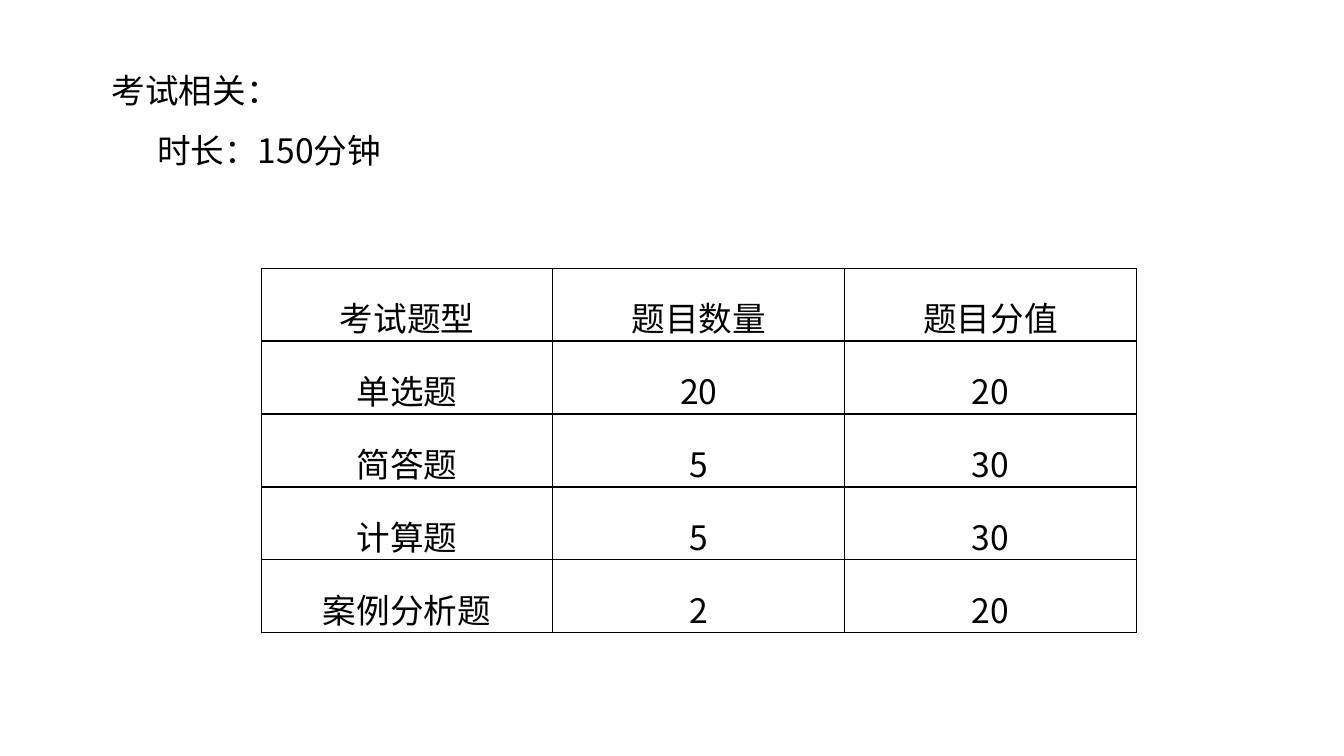
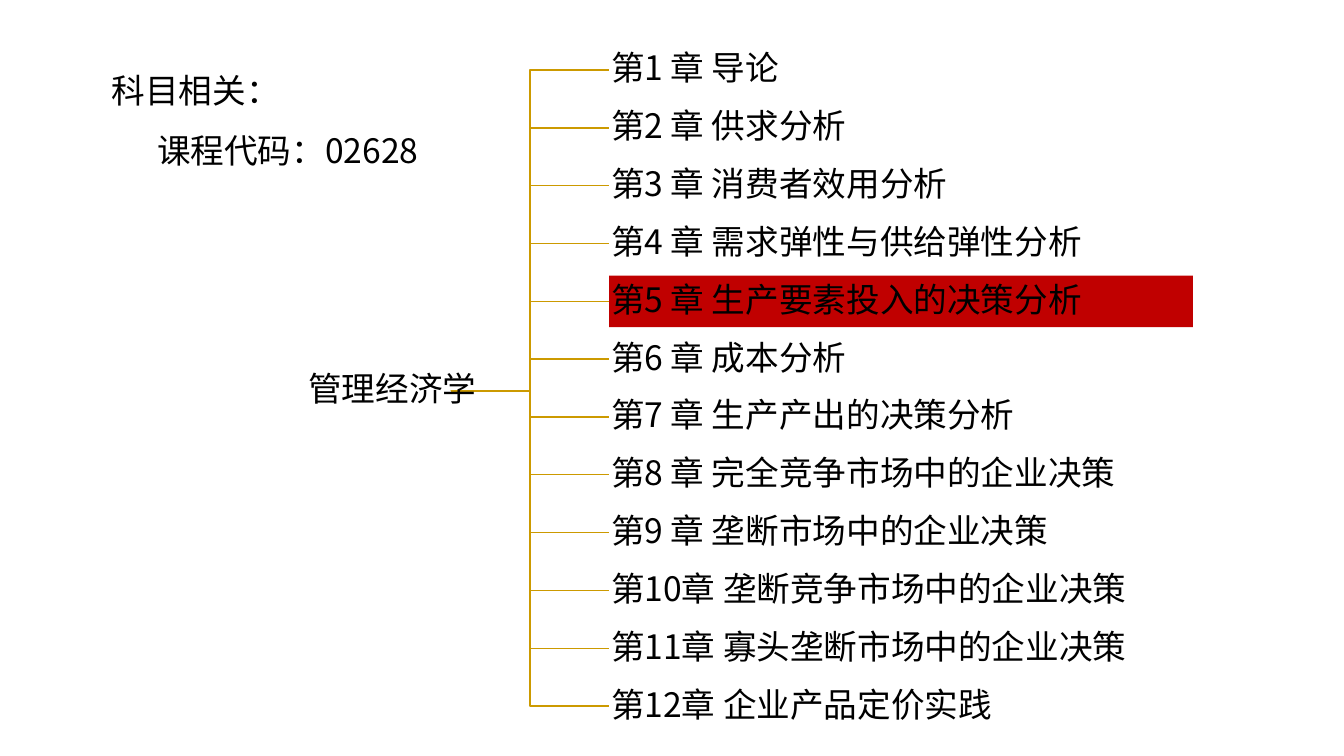
from lxml import etree
from pptx import Presentation
from pptx.dml.color import RGBColor
from pptx.enum.shapes import MSO_SHAPE
from pptx.enum.text import MSO_ANCHOR, MSO_AUTO_SIZE, PP_ALIGN
from pptx.oxml.ns import qn
from pptx.util import Inches, Pt

RECT = MSO_SHAPE.RECTANGLE
MIDDLE = MSO_ANCHOR.MIDDLE
GROW = MSO_AUTO_SIZE.SHAPE_TO_FIT_TEXT
LEFT, CENTER = PP_ALIGN.LEFT, PP_ALIGN.CENTER

BLACK = RGBColor(0x00, 0x00, 0x00)
WHITE = RGBColor(0xFF, 0xFF, 0xFF)
RED = RGBColor(0xC0, 0x00, 0x00)
GOLD = RGBColor(0xCC, 0x9A, 0x00)
FONT = "Noto Sans CJK SC"
SIZE = Pt(24)
INSET = Inches(0.02)

EXAM = [
    ("考试题型", "题目数量", "题目分值"),
    ("单选题", "20", "20"),
    ("简答题", "5", "30"),
    ("计算题", "5", "30"),
    ("案例分析题", "2", "20"),
]
TOPICS = [
    "第1 章 导论",
    "第2 章 供求分析",
    "第3 章 消费者效用分析",
    "第4 章 需求弹性与供给弹性分析",
    "第5 章 生产要素投入的决策分析",
    "第6 章 成本分析",
    "第7 章 生产产出的决策分析",
    "第8 章 完全竞争市场中的企业决策",
    "第9 章 垄断市场中的企业决策",
    "第10章 垄断竞争市场中的企业决策",
    "第11章 寡头垄断市场中的企业决策",
    "第12章 企业产品定价实践",
]
CURRENT = 4


def write(para, text, align=LEFT, spacing=1.5):
    """Add one styled run to a paragraph."""
    para.alignment = align
    para.line_spacing = spacing
    run = para.add_run()
    run.text = text
    run.font.name = FONT
    run.font.size = SIZE
    run.font.color.rgb = BLACK
    etree.SubElement(run.font._element, qn("a:ea"), typeface=FONT)


def add_head(slide, title, detail):
    """Place the heading with its indented detail line."""
    box = slide.shapes.add_textbox(
        Inches(1.01), Inches(0.44), Inches(8.19), Inches(1.24))
    frame = box.text_frame
    frame.word_wrap = True
    frame.auto_size = GROW
    write(frame.paragraphs[0], title)
    para = frame.add_paragraph()
    write(para, detail)
    para._p.get_or_add_pPr().set("marL", str(Inches(0.45)))


def add_borders(cell):
    """Draw a thin black line on each side of a cell."""
    props = cell._tc.get_or_add_tcPr()
    for side in ("lnL", "lnR", "lnT", "lnB"):
        line = etree.SubElement(props, qn(f"a:{side}"), w=str(Pt(1)))
        fill = etree.SubElement(line, qn("a:solidFill"))
        etree.SubElement(fill, qn("a:srgbClr"), val=str(BLACK))


def add_grid(slide, rows, left, top, width, height):
    """Place a plain bordered table in the given box."""
    table = slide.shapes.add_table(
        len(rows), len(rows[0]), left, top, width, height).table
    table.first_row = table.horz_banding = False
    for row, texts in enumerate(rows):
        for col, text in enumerate(texts):
            cell = table.cell(row, col)
            cell.margin_top = cell.margin_bottom = 0
            add_borders(cell)
            cell.fill.background()
            write(cell.text_frame.paragraphs[0], text, CENTER)


def add_node(slide, text, box, align=LEFT, fill=None):
    """Place one node of the tree."""
    node = slide.shapes.add_shape(RECT, *box)
    node.shadow.inherit = False
    node.line.fill.background()
    if fill is None:
        node.fill.background()
    else:
        node.fill.solid()
        node.fill.fore_color.rgb = fill
    frame = node.text_frame
    frame.word_wrap = True
    frame.vertical_anchor = MIDDLE
    frame.margin_left = frame.margin_right = INSET
    frame.margin_top = frame.margin_bottom = INSET
    write(frame.paragraphs[0], text, align, 0.9)


def add_branch(slide, start, end):
    """Draw an elbow line between two points."""
    (x1, y1), (x2, y2) = start, end
    mid = (x1 + x2) // 2
    pen = slide.shapes.build_freeform(x1, y1)
    pen.add_line_segments([(mid, y1), (mid, y2), (x2, y2)], close=False)
    branch = pen.convert_to_shape()
    branch.shadow.inherit = False
    branch.fill.background()
    branch.line.color.rgb = GOLD
    branch.line.width = Pt(1)


def add_tree(slide, root, leaves, left, top, width, height):
    """Place a root, its branches and its leaves in the given box."""
    leaf_h = Inches(0.51)
    leaf_w = Inches(5.79)
    leaf_x = left + width - leaf_w
    root_w, root_h = Inches(2.32), Inches(1.16)
    mid = top + height // 2 + Inches(0.03)
    step = (height - leaf_h) / (len(leaves) - 1)
    tops = [top + round(i * step) for i in range(len(leaves))]
    start = (leaf_x - Inches(1.57), mid)
    for y in reversed(tops):
        add_branch(slide, start, (leaf_x, y + leaf_h // 2))
    add_node(slide, root, (left, mid - root_h // 2, root_w, root_h), CENTER)
    for i, (text, y) in enumerate(zip(leaves, tops)):
        fill = RED if i == CURRENT else WHITE
        add_node(slide, text, (leaf_x, y, leaf_w, leaf_h), fill=fill)


def main():
    """Build and save both slides."""
    deck = Presentation()
    deck.slide_width, deck.slide_height = Inches(13.33), Inches(7.5)
    blank = deck.slide_layouts[6]

    exam = deck.slides.add_slide(blank)
    add_head(exam, "考试相关：", "时长：150分钟")
    add_grid(exam, EXAM,
             Inches(2.59), Inches(2.66), Inches(8.68), Inches(3.62))

    course = deck.slides.add_slide(blank)
    add_tree(course, "管理经济学", TOPICS,
             Inches(2.73), Inches(0.44), Inches(9.1), Inches(6.82))
    add_head(course, "科目相关：", "课程代码：02628")

    deck.save("out.pptx")


if __name__ == "__main__":
    main()
